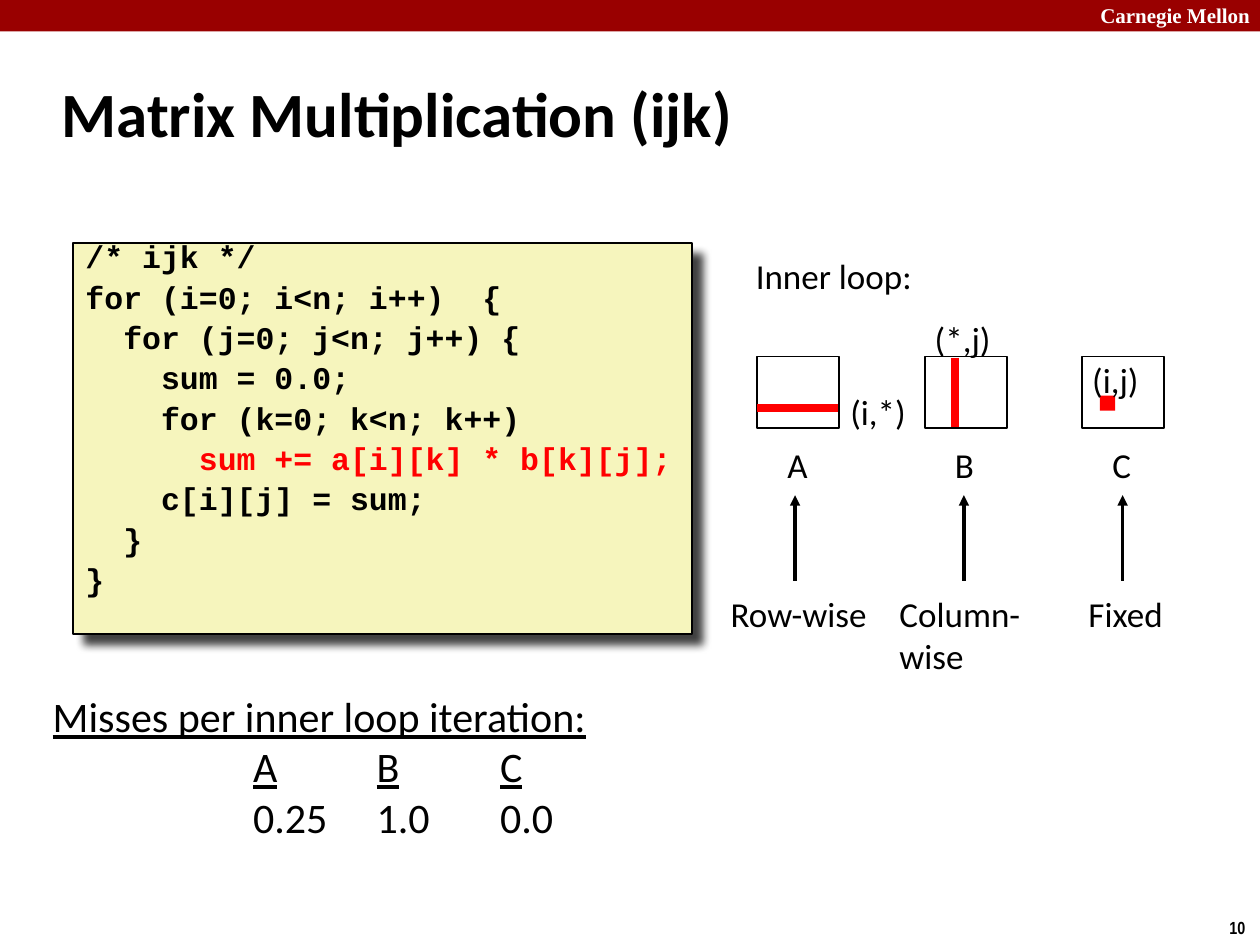
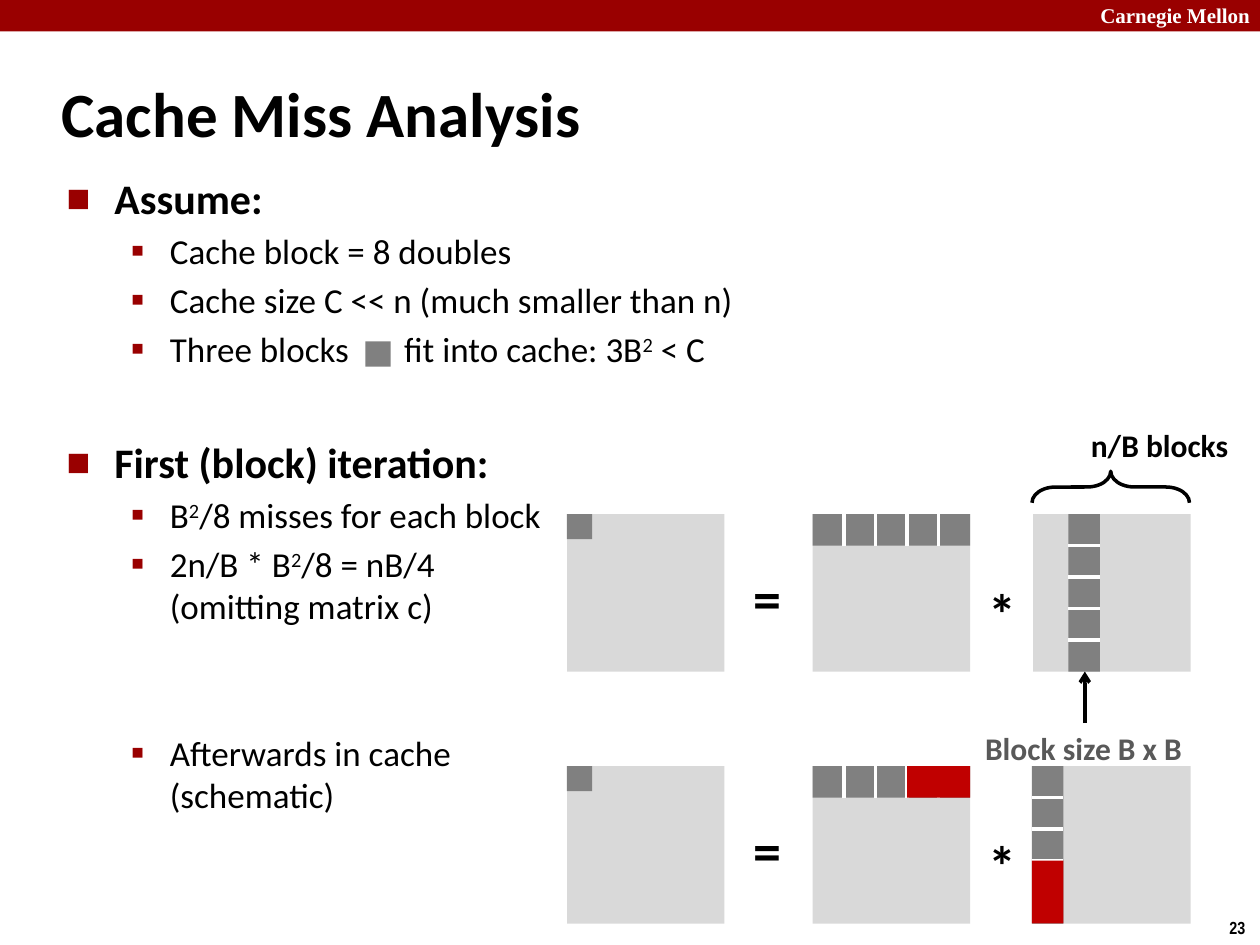
from dataclasses import dataclass

import pptx
import pptx.util
import pptx.dml.color
import pptx.enum.shapes
import pptx.enum.text
import pptx.oxml
import pptx.oxml.ns
from lxml import etree

Inches = pptx.util.Inches
Pt = pptx.util.Pt
SHAPES = pptx.enum.shapes.MSO_SHAPE
ALIGN = pptx.enum.text.PP_ALIGN
ANCHOR = pptx.enum.text.MSO_ANCHOR


@dataclass(frozen=True)
class Theme:
    # Colours
    black: str = "000000"
    white: str = "FFFFFF"
    band: str = "990000"
    code_fill: str = "F6F5BD"
    accent: str = "FF0000"
    matrix: str = "D9D9D9"
    block: str = "808080"
    cached: str = "C00000"
    caption: str = "595959"
    # Fonts
    body_font: str = "Calibri"
    code_font: str = "Courier New"
    band_font: str = "Times New Roman"
    number_font: str = "Arial Narrow"
    # Type sizes
    title: int = 36
    operator: int = 32
    heading: int = 24
    text: int = 20
    small: int = 18
    band_text: int = 12
    number: int = 10


def colour(value):
    return pptx.dml.color.RGBColor.from_string(value)


def add_xml(parent, tag, **attributes):
    child = etree.SubElement(parent, pptx.oxml.ns.qn(tag))
    for name, value in attributes.items():
        child.set(name, str(value))
    return child


class SlideBuilder:
    def __init__(self, deck, theme):
        self.deck = deck
        self.theme = theme
        self.page = None

    def new_page(self, title, number):
        """Start a slide with the shared band, page number and title."""
        theme = self.theme
        self.page = self.deck.slides.add_slide(self.deck.slide_layouts[6])
        self.rect(0, 0, 10, 0.25, theme.band)
        self.label(8.3, -0.03, 1.72, 0.3, "Carnegie Mellon", theme.band_text, theme.white,
                   bold=True, font=theme.band_font, align=ALIGN.RIGHT)
        self.label(9.66, 7.23, 0.34, 0.27, number, theme.number, bold=True,
                   font=theme.number_font)
        self.label(0.39, 0.48, 8.3, 0.83, title, theme.title, bold=True,
                   anchor=ANCHOR.MIDDLE)

    def shape(self, kind, left, top, width, height, fill=None, line=None, weight=1):
        shape = self.page.shapes.add_shape(
            kind, Inches(left), Inches(top), Inches(width), Inches(height))
        shape.shadow.inherit = False
        if fill:
            shape.fill.solid()
            shape.fill.fore_color.rgb = colour(fill)
        else:
            shape.fill.background()
        if line:
            shape.line.color.rgb = colour(line)
            shape.line.width = Pt(weight)
        else:
            shape.line.fill.background()
        return shape

    def rect(self, left, top, width, height, fill, line=None):
        return self.shape(SHAPES.RECTANGLE, left, top, width, height, fill, line)

    def line(self, start, end, line, weight=2, head=None):
        connector = self.page.shapes.add_connector(
            pptx.enum.shapes.MSO_CONNECTOR.STRAIGHT,
            Inches(start[0]), Inches(start[1]), Inches(end[0]), Inches(end[1]))
        connector.line.color.rgb = colour(line)
        connector.line.width = Pt(weight)
        if head:
            add_xml(connector.line._get_or_add_ln(), "a:tailEnd", type=head)
        add_xml(connector._element.spPr, "a:effectLst")

    def text_box(self, left, top, width, height, wrap=True, anchor=ANCHOR.TOP):
        box = self.page.shapes.add_textbox(
            Inches(left), Inches(top), Inches(width), Inches(height))
        box.text_frame.word_wrap = wrap
        box.text_frame.vertical_anchor = anchor
        return box.text_frame

    def set_font(self, para, size, fill=None, bold=False, font=None):
        para.font.name = font or self.theme.body_font
        para.font.size = Pt(size)
        para.font.bold = bold
        para.font.color.rgb = colour(fill or self.theme.black)

    def label(self, left, top, width, height, text, size, fill=None, bold=False,
              font=None, align=ALIGN.LEFT, anchor=ANCHOR.TOP):
        frame = self.text_box(left, top, width, height, align == ALIGN.RIGHT, anchor)
        for index, words in enumerate(text.split("\n")):
            para = next_para(frame, index)
            para.text = words
            para.alignment = align
            self.set_font(para, size, fill, bold, font)

    def code(self, left, top, width, height, lines, highlighted):
        theme = self.theme
        box = self.rect(left, top, width, height, theme.code_fill, theme.black)
        effects = box._element.spPr.find(pptx.oxml.ns.qn("a:effectLst"))
        shadow = add_xml(effects, "a:outerShdw", blurRad=Pt(5), dist=Pt(8.5),
                         dir=45 * 60000, algn="ctr", rotWithShape=0)
        add_xml(add_xml(shadow, "a:srgbClr", val=theme.black), "a:alpha", val=75000)
        frame = box.text_frame
        frame.word_wrap = True
        frame.vertical_anchor = ANCHOR.TOP
        for index, code_line in enumerate(lines):
            para = next_para(frame, index)
            para.text = code_line
            para.alignment = ALIGN.LEFT
            para.line_spacing = 0.65
            para.space_before = Pt(9 if index else 0)
            fill = theme.accent if index == highlighted else theme.black
            self.set_font(para, theme.small, fill, bold=True, font=theme.code_font)

    def bullets(self, left, top, width, height, items):
        """Items are (level, space before in points, text, tab stops in inches)."""
        theme = self.theme
        frame = self.text_box(left, top, width, height)
        styles = [("■", 60, 0.38, 0.38, theme.heading),
                  ("▪", 110, 0.82, 0.31, theme.text)]
        for index, (level, space, text, stops) in enumerate(items):
            mark, percent, margin, hanging, size = styles[level]
            para = next_para(frame, index)
            para.level = level
            para.space_before = Pt(space)
            properties = para._p.get_or_add_pPr()
            properties.set("marL", str(Inches(margin)))
            properties.set("indent", str(-Inches(hanging)))
            add_xml(add_xml(properties, "a:buClr"), "a:srgbClr", val=theme.band)
            add_xml(properties, "a:buSzPct", val=percent * 1000)
            add_xml(properties, "a:buFont", typeface=theme.body_font)
            add_xml(properties, "a:buChar", char=mark)
            if stops:
                add_tabs(para, stops)
            self.set_font(para, size, bold=level == 0)
            for span in marked_spans(para, text, "^"):
                span._r.get_or_add_rPr().set("baseline", "30000")

    def product(self, top, column_left, cached=False):
        """Draw one blocked matrix product: result = block row * block column."""
        theme = self.theme
        side, block = 1.25, 0.25
        result_left, row_left, right_left = 4.5, 6.45, 8.2
        for left in (row_left, right_left, result_left):
            self.rect(left, top, side, side, theme.matrix)
        self.label(7.75, top + 0.46, 0.43, 0.64, "*", theme.operator, bold=True)
        self.label(5.88, top + 0.34, 0.43, 0.64, "=", theme.operator, bold=True)
        self.rect(result_left, top, 0.2, 0.2, theme.block)
        self.rect(row_left, top, side, block, theme.block)
        self.rect(column_left, top, block, side, theme.block)
        for step in range(1, 5):
            x = row_left + step * block
            y = top + step * block
            self.line((x, top), (x, top + block), theme.white)
            self.line((column_left, y), (column_left + block, y), theme.white)
        if cached:
            offset = 3 * block
            self.rect(row_left + offset, top, side - offset, block, theme.cached)
            self.rect(column_left, top + offset, block, side - offset, theme.cached)


def next_para(frame, index):
    return frame.add_paragraph() if index else frame.paragraphs[0]


def add_tabs(para, stops):
    tabs = add_xml(para._p.get_or_add_pPr(), "a:tabLst")
    for stop in stops:
        add_xml(tabs, "a:tab", pos=Inches(stop), algn="l")


def marked_spans(para, text, mark):
    """Add the text as runs and return those enclosed between two marks."""
    marked = []
    for index, piece in enumerate(text.split(mark)):
        for row, words in enumerate(piece.split("\n")):
            if row:
                para.add_line_break()
            if words:
                span = para.add_run()
                span.text = words
                if index % 2:
                    marked.append(span)
    return marked


def matrix_multiplication(slide):
    theme = slide.theme
    slide.new_page("Matrix Multiplication (ijk)", "10")

    # Code listing
    slide.code(0.58, 1.93, 4.91, 3.1, [
        "/* ijk */",
        "for (i=0; i<n; i++)  {",
        "  for (j=0; j<n; j++) {",
        "    sum = 0.0;",
        "    for (k=0; k<n; k++)",
        "      sum += a[i][k] * b[k][j];",
        "    c[i][j] = sum;",
        "  }",
        "}",
    ], highlighted=5)

    # Matrices with their access patterns
    matrices = [("A", 6.01, 6.31, "Row-wise", 5.7, 1.29),
                ("B", 7.34, 7.65, "Column-\nwise", 7.04, 1.17),
                ("C", 8.59, 8.91, "Fixed", 8.54, 0.79)]
    for name, left, arrow_x, pattern, pattern_left, pattern_width in matrices:
        slide.rect(left, 2.83, 0.65, 0.57, theme.white, theme.black)
        slide.label(left + 0.14, 3.47, 0.37, 0.43, name, theme.text)
        slide.line((arrow_x, 4.61), (arrow_x, 3.93), theme.black, head="triangle")
        height = 0.43 + 0.34 * pattern.count("\n")
        slide.label(pattern_left, 4.65, pattern_width, height, pattern, theme.text)

    # Elements touched by the inner loop
    slide.line((7.58, 2.84), (7.58, 3.39), theme.accent, 4.5)
    slide.line((6.01, 3.24), (6.65, 3.24), theme.accent, 4.5)
    slide.rect(8.73, 3.14, 0.12, 0.12, theme.accent)
    for left, top, width, text in [(6.65, 3.05, 0.64, "(i,*)"),
                                   (7.32, 2.47, 0.65, "(*,j)"),
                                   (8.57, 2.8, 0.57, "(i,j)"),
                                   (5.9, 1.97, 1.45, "Inner loop:")]:
        slide.label(left, top, width, 0.43, text, theme.text)

    # Miss counts
    frame = slide.text_box(0.32, 5.43, 5.55, 1.33)
    rows = ["_Misses per inner loop iteration:_", "\t_A_\t_B_\t_C_", "\t0.25\t1.0\t0.0"]
    for index, row in enumerate(rows):
        para = next_para(frame, index)
        add_tabs(para, [1.59, 2.57, 3.55])
        slide.set_font(para, theme.heading)
        for span in marked_spans(para, row, "_"):
            span.font.underline = True


def cache_miss_analysis(slide):
    theme = slide.theme
    slide.new_page("Cache Miss Analysis", "23")

    # Bullets; the two stops suit tabs counted from the indent or from the box edge
    slide.bullets(0.43, 1.32, 8.64, 3.34, [
        (0, 0, "Assume:", None),
        (1, 4, "Cache block = 8 doubles", None),
        (1, 4, "Cache size C << n (much smaller than n)", None),
        (1, 4, "Three blocks\tfit into cache: 3B^2^ < C", [1.86, 2.68]),
        (0, 38, "First (block) iteration:", None),
        (1, 4, "B^2^/8 misses for each block", None),
        (1, 4, "2n/B * B^2^/8 = nB/4\n(omitting matrix c)", None),
        (1, 60, "Afterwards in cache\n(schematic)", None),
    ])
    slide.rect(2.9, 2.71, 0.2, 0.2, theme.block)

    # First iteration above, cache contents afterwards below
    slide.product(6.08, 8.19, cached=True)
    slide.product(4.08, 8.48)

    # Annotations
    slide.label(7.72, 5.74, 1.78, 0.4, "Block size B x B", theme.small, theme.caption, bold=True)
    slide.line((8.61, 5.74), (8.61, 5.33), theme.black, head="arrow")
    brace = slide.shape(SHAPES.LEFT_BRACE, 8.69, 3.24, 0.25, 1.25, line=theme.black, weight=2)
    brace.adjustments[0] = 0.75
    brace.rotation = 90
    slide.label(8.56, 3.33, 1.3, 0.4, "n/B blocks", theme.small, bold=True)


def main():
    deck = pptx.Presentation()
    deck.slide_width = Inches(10)
    deck.slide_height = Inches(7.5)
    slide = SlideBuilder(deck, Theme())
    matrix_multiplication(slide)
    cache_miss_analysis(slide)
    deck.save("out.pptx")


if __name__ == "__main__":
    main()
